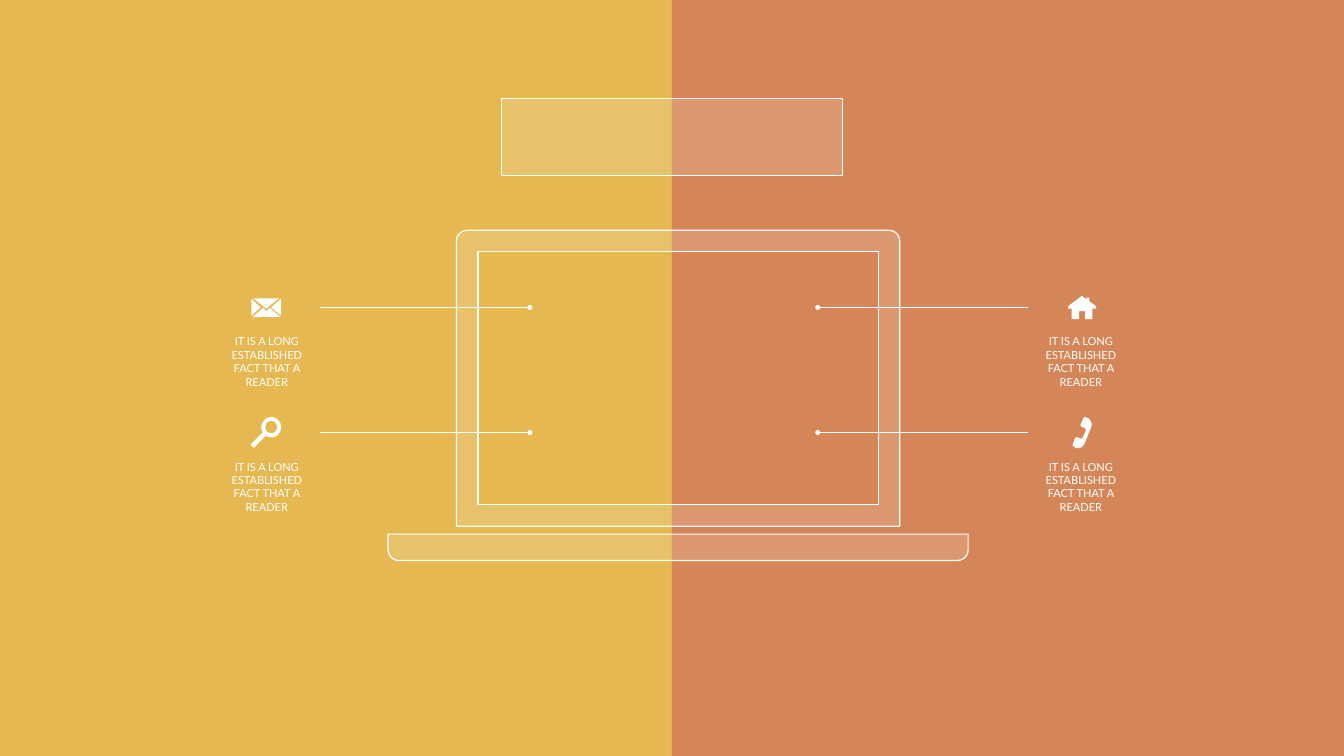
import dataclasses

import pptx
import pptx.dml.color
import pptx.enum.shapes
import pptx.enum.text
import pptx.oxml.ns
import pptx.util
from lxml import etree

Pt = pptx.util.Pt
Shape = pptx.enum.shapes.MSO_SHAPE


@dataclasses.dataclass(frozen=True)
class Theme:
    gold: str = "E5B852"
    rust: str = "D58659"
    white: str = "FFFFFF"
    veil: int = 15
    font: str = "Lato"
    size: float = 13
    thin: float = 0.82
    line: float = 1.44


THEME = Theme()
WIDE, HIGH = 1583.28, 890.64
UNIT = 0.72
STEPS = 8
LABEL = "IT IS A LONG ESTABLISHED FACT THAT A READER"

MAIL = [
    [(-25, -14), (-25, 13), (-10, 0)],
    [(-22, -15), (20, -15), (-1, 2)],
    [(23, 13), (23, -14), (7, 0)],
    [(-1, 6), (-6, 1), (-24, 16), (23, 16), (5, 1)],
]
LENS = [
    [(19, -20), (13, -27, 2, -27, -4, -20), (-9, -15, -11, -7, -7, -1),
     (-7, 0), (-26, 19), (-26, 19, -26, 20, -26, 21), (-22, 24),
     (-22, 25, -21, 25, -20, 24), (-1, 5), (-1, 6), (6, 9, 14, 8, 19, 3),
     (25, -4, 25, -14, 19, -20)],
    [(14, -2), (11, 2, 4, 2, 0, -2), (-3, -6, -3, -12, 0, -16),
     (4, -20, 11, -20, 14, -16), (18, -12, 18, -6, 14, -2)],
]
HOUSE = [
    [(25, -2), (14, -10), (14, -16), (9, -16), (9, -13), (2, -19),
     (-21, -2), (-21, 2), (-15, 2), (-15, 19), (-3, 19), (-3, 6),
     (7, 6), (7, 19), (19, 19), (19, 2), (25, 2)],
]
PHONE = [
    [(8, -25), (7, -26, 4, -25, 4, -23), (0, -14), (-1, -12, 0, -10, 2, -9),
     (6, -8), (8, -7, 8, -5, 8, -3), (3, 8), (3, 9, 0, 10, -1, 10),
     (-5, 8), (-7, 7, -9, 8, -10, 10), (-13, 19), (-14, 21, -13, 23, -11, 23),
     (-9, 25), (-3, 27, 3, 24, 6, 18), (17, -9), (19, -15, 16, -22, 11, -24)],
]


def tint(code):
    return pptx.dml.color.RGBColor.from_string(code)


def paint(shape, fill, alpha=100, line=0):
    shape.shadow.inherit = False
    shape.fill.solid()
    shape.fill.fore_color.rgb = tint(fill)
    if alpha < 100:
        color = shape.fill._xPr.find(".//" + pptx.oxml.ns.qn("a:srgbClr"))
        etree.SubElement(color, pptx.oxml.ns.qn("a:alpha"), val=str(alpha * 1000))
    if line:
        shape.line.color.rgb = tint(THEME.white)
        shape.line.width = Pt(line)
    else:
        shape.line.fill.background()


def block(slide, kind, box, *style):
    shape = slide.shapes.add_shape(kind, *map(Pt, box))
    paint(shape, *style)


def flat(ring):
    points = [ring[0]]
    for part in ring[1:]:
        if len(part) == 2:
            points.append(part)
            continue
        knots = [points[-1], part[:2], part[2:4], part[4:]]
        for step in range(1, STEPS + 1):
            t = step / STEPS
            mix = ((1 - t) ** 3, 3 * t * (1 - t) ** 2, 3 * t * t * (1 - t), t ** 3)
            points.append(tuple(sum(m * k[i] for m, k in zip(mix, knots)) for i in (0, 1)))
    return points


def trace(slide, rings, left, top, unit, *style):
    build = None
    for ring in rings:
        points = [(Pt(left + x * unit), Pt(top + y * unit)) for x, y in flat(ring)]
        if build is None:
            build = slide.shapes.build_freeform(*points[0])
        else:
            build.move_to(*points[0])
        build.add_line_segments(points[1:], close=True)
    paint(build.convert_to_shape(), *style)


def halves(slide, box):
    left, top, width, height = box
    half = width / 2
    for i, color in enumerate((THEME.gold, THEME.rust)):
        block(slide, Shape.RECTANGLE, (left + i * half, top, half, height), color)


def banner(slide, box):
    block(slide, Shape.RECTANGLE, box, THEME.white, THEME.veil, THEME.thin)


def laptop(slide, box):
    left, top, width, height = box
    style = THEME.white, THEME.veil, THEME.line
    inset, edge, bend, curve = 68.4 + 12.2, 25.2, 12.6, 5.6
    lid, tall, deck = width - 2 * inset, 348.5, 31
    frame = [(0, tall), (0, bend), (0, curve, curve, 0, bend, 0), (lid - bend, 0),
             (lid - curve, 0, lid, curve, lid, bend), (lid, tall)]
    pane = [(edge, edge), (lid - edge, edge),
            (lid - edge, tall - edge), (edge, tall - edge)]
    trace(slide, [frame, pane], left + inset, top, 1, *style)
    base = [(0, 0), (0, deck - bend), (0, deck - curve, curve, deck, bend, deck),
            (width - bend, deck),
            (width - curve, deck, width, deck - curve, width, deck - bend), (width, 0)]
    trace(slide, [base], left, top + height - deck, 1, *style)


def callout(slide, box, icon, side):
    left, top, width, height = box
    reach, gap, dot, drop = 247.7, 7.2, 5.8, 32.3
    start = (left + width if side > 0 else left) + side * gap
    end = start + side * reach
    lead = slide.shapes.add_connector(
        pptx.enum.shapes.MSO_CONNECTOR.STRAIGHT, Pt(start), Pt(top), Pt(end), Pt(top))
    lead.line.color.rgb = tint(THEME.white)
    lead.line.width = Pt(THEME.line)
    etree.SubElement(lead._element.spPr, pptx.oxml.ns.qn("a:effectLst"))
    block(slide, Shape.OVAL, (end - dot / 2, top - dot / 2, dot, dot), THEME.white)
    trace(slide, icon, left + width / 2, top, UNIT, THEME.white)
    note = slide.shapes.add_textbox(Pt(left), Pt(top + drop), Pt(width), Pt(height - drop))
    frame = note.text_frame
    frame.word_wrap = True
    frame.margin_left = frame.margin_right = frame.margin_top = frame.margin_bottom = 0
    para = frame.paragraphs[0]
    para.text = LABEL
    para.alignment = pptx.enum.text.PP_ALIGN.CENTER
    para.line_spacing = 1.01
    para.font.name = THEME.font
    para.font.size = Pt(THEME.size)
    para.font.color.rgb = tint(THEME.white)


def main():
    deck = pptx.Presentation()
    deck.slide_width, deck.slide_height = Pt(WIDE), Pt(HIGH)
    slide = deck.slides.add_slide(deck.slide_layouts[6])
    halves(slide, (0, 0, WIDE, HIGH))
    banner(slide, (590.6, 116.2, 401.8, 90.7))
    laptop(slide, (457.2, 271.4, 683.3, 388.9))
    for left, side, icons in ((259.2, 1, (MAIL, LENS)), (1218.24, -1, (HOUSE, PHONE))):
        for row, icon in enumerate(icons):
            callout(slide, (left, 362.2 + row * 147.4, 110.16, 95.5), icon, side)
    deck.save("out.pptx")


if __name__ == "__main__":
    main()
